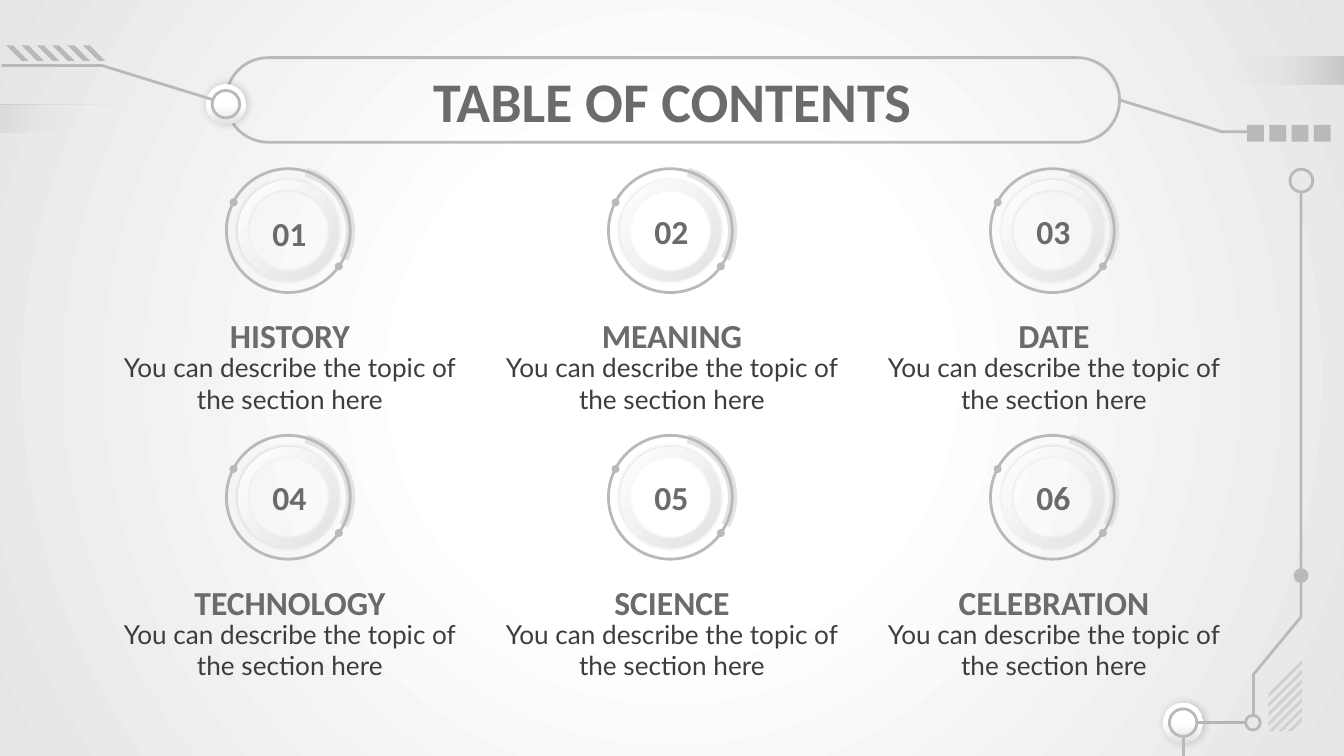
from pptx import Presentation
from pptx.dml.color import RGBColor
from pptx.enum.shapes import MSO_CONNECTOR, MSO_SHAPE
from pptx.enum.text import MSO_ANCHOR, PP_ALIGN
from pptx.oxml import parse_xml
from pptx.oxml.ns import nsdecls, qn
from pptx.util import Cm, Pt

OVAL = MSO_SHAPE.OVAL
RECT = MSO_SHAPE.RECTANGLE
ROUND_RECT = MSO_SHAPE.ROUNDED_RECTANGLE
PARALLELOGRAM = MSO_SHAPE.PARALLELOGRAM
BLOCK_ARC = MSO_SHAPE.BLOCK_ARC
DONUT = MSO_SHAPE.DONUT
STRAIGHT = MSO_CONNECTOR.STRAIGHT
TOP, MIDDLE = MSO_ANCHOR.TOP, MSO_ANCHOR.MIDDLE
CENTER = PP_ALIGN.CENTER

COLORS = {
    "line": "B9B9B9", "wire": "B4B6B9", "hatch": "D1D1D1", "arc": "E2E2E2",
    "fade": "DCDCDC", "edge": "E5E5E5", "white": "FFFFFF",
    "heading": "6B6B6B", "body": "3D3D3D", "shadow": "000000",
}
# Gradient stops: position %, colour, opacity %
FADE = [(0, "line", 100), (43, "fade", 42), (100, "white", 0)]
DISC = [(0, "white", 100), (100, "arc", 100)]
KNOB = [(0, "white", 100), (50, "white", 100), (100, "arc", 100)]
BACKDROP = [(0, "white", 100), (32, "white", 100), (100, "edge", 100)]


def style(sp, fill=None, line=None, stops=None, shade='<a:lin ang="0" scaled="0"/>', shadow=None):
    """Format a shape or the background; shadow is (opacity %, blur pt, distance pt)."""
    if fill:
        sp.fill.solid()
        sp.fill.fore_color.rgb = RGBColor.from_string(COLORS[fill])
    else:
        sp.fill.background()
    if stops:
        gs = "".join(
            f'<a:gs pos="{pos * 1000}"><a:srgbClr val="{COLORS[c]}">'
            f'<a:alpha val="{alpha * 1000}"/></a:srgbClr></a:gs>' for pos, c, alpha in stops)
        grad = parse_xml(f'<a:gradFill {nsdecls("a")} rotWithShape="1">'
                         f'<a:gsLst>{gs}</a:gsLst>{shade}</a:gradFill>')
        no_fill = next(sp._element.iter(qn("a:noFill")))
        no_fill.getparent().replace(no_fill, grad)
    if not hasattr(sp, "line"):
        return
    if line:
        sp.line.color.rgb = RGBColor.from_string(COLORS[line])
        sp.line.width = Pt(1.5)
    else:
        sp.line.fill.background()
    sp.shadow.inherit = False
    if shadow:
        alpha, blur, dist = shadow
        sp._element.spPr.find(qn("a:effectLst")).append(parse_xml(
            f'<a:outerShdw {nsdecls("a")} blurRad="{Pt(blur)}" dist="{Pt(dist)}" dir="0" '
            f'algn="bl" rotWithShape="0"><a:srgbClr val="{COLORS["shadow"]}">'
            f'<a:alpha val="{alpha * 1000}"/></a:srgbClr></a:outerShdw>'))


def add_text(text, left, top, width, height, size=18, font="Calibri",
             color="heading", bold=True, anchor=MIDDLE):
    tf = s.shapes.add_textbox(Cm(left), Cm(top), Cm(width), Cm(height)).text_frame
    tf.word_wrap = True
    tf.vertical_anchor = anchor
    tf.margin_left = tf.margin_right = tf.margin_top = tf.margin_bottom = Cm(0.25)
    p = tf.paragraphs[0]
    p.alignment = CENTER
    r = p.add_run()
    r.text = text
    r.font.size = Pt(size)
    r.font.name = font
    r.font.bold = bold
    r.font.color.rgb = RGBColor.from_string(COLORS[color])


prs = Presentation()
prs.slide_width, prs.slide_height = Cm(25.4), Cm(14.29)
s = prs.slides.add_slide(prs.slide_layouts[6])

s.background.fill.background()
style(s.background, stops=BACKDROP, shade=(
    '<a:path path="circle"><a:fillToRect l="50000" t="50000" r="50000" b="50000"/></a:path>'))

# Fading bars at the slide edges
for left, top, flip in [(22.1, 1.07, "1"), (-1.14, 1.98, "0")]:
    sp = s.shapes.add_shape(PARALLELOGRAM, Cm(left), Cm(top), Cm(3.71), Cm(0.53))
    sp.adjustments[0] = 0.25
    sp._element.spPr.xfrm.set("flipH", flip)
    style(sp, stops=FADE)

# Title frame
sp = s.shapes.add_shape(ROUND_RECT, Cm(4.27), Cm(1.09), Cm(16.89), Cm(1.6))
sp.adjustments[0] = 0.5
style(sp, line="line")

# Six sections in a grid of three columns
DIAL = [  # shape, left, top, size, rotation, adjustments, format
    (BLOCK_ARC, 4.25, 3.13, 2.46, 105, (108.12, 169.54, 0.07), {"fill": "arc"}),
    (OVAL, 4.28, 3.19, 2.34, 0, (), {"line": "line"}),
    (OVAL, 6.33, 4.96, 0.15, 0, (), {"fill": "line"}),
    (OVAL, 4.34, 3.75, 0.15, 0, (), {"fill": "line"}),
    (DONUT, 4.5, 3.41, 1.9, 0, (0.09,), {
        "stops": DISC, "shade": '<a:lin ang="2700000" scaled="0"/>', "shadow": (14, 2.2, 0)}),
]
SECTIONS = ["HISTORY", "MEANING", "DATE", "TECHNOLOGY", "SCIENCE", "CELEBRATION"]
for i, section in enumerate(SECTIONS):
    dx, dy = i % 3 * 7.22, i // 3 * 5.04
    for kind, left, top, size, rotation, adjustments, look in DIAL:
        sp = s.shapes.add_shape(kind, Cm(left + dx), Cm(top + dy), Cm(size), Cm(size))
        sp.rotation = rotation
        for n, value in enumerate(adjustments):
            sp.adjustments[n] = value
        style(sp, **look)
    number_top = 3.92 if i == 0 else 3.87
    add_text(f"{i + 1:02}", 4.62 + dx, number_top + dy, 1.7, 0.99)
    add_text(section, 2 + dx, 5.84 + dy, 6.96, 0.99)
    add_text("You can describe the topic of the section here", 2 + dx, 6.4 + dy, 6.96, 1.35,
             size=14, font="Lato", color="body", bold=False, anchor=TOP)

# Knobs, rings, dots and squares of the circuit
CIRCUIT = [(OVAL, left, top, 0.76, {
    "stops": KNOB, "shade": '<a:lin ang="5400000" scaled="0"/>', "shadow": (19, 4.5, 0.8)})
    for left, top in [(3.89, 1.59), (21.98, 13.28)]]
CIRCUIT += [(OVAL, left, top, size, {"line": "line"}) for left, top, size in [
    (4.01, 1.71, 0.52), (22.1, 13.4, 0.52), (24.38, 3.2, 0.43), (23.54, 13.52, 0.28)]]
CIRCUIT += [(OVAL, 24.45, 10.74, 0.28, {"fill": "line"})]
CIRCUIT += [(RECT, 23.57 + 0.42 * i, 2.36, 0.32, {"fill": "line"}) for i in range(4)]
for kind, left, top, size, look in CIRCUIT:
    style(s.shapes.add_shape(kind, Cm(left), Cm(top), Cm(size), Cm(size)), **look)

# Bent wires, then slanted stripes top left and hatching bottom right
OUTLINES = [(points, False, {"line": "line"}) for points in [
    [(23.62, 2.49), (23.09, 2.49), (21.13, 1.88)],
    [(0.03, 1.24), (1.93, 1.24), (4.01, 1.88)],
    [(23.69, 13.54), (23.69, 12.75), (24.59, 11.66), (24.59, 3.63)],
]]
for i in range(6):
    x = 0.12 + 0.29 * i
    OUTLINES.append(([(x, 0.86), (x + 0.29, 1.15), (x + 0.42, 1.15), (x + 0.13, 0.86)],
                     True, {"fill": "line"}))
right, floor, reach, thick = 24.61, 13.82, 0.64, 0.08
for i in range(7):
    y = 12.47 + 0.18 * i
    upper, lower = min(reach, floor - y), min(reach, floor - y - thick)
    OUTLINES.append(([(right, y), (right - upper, y + upper),
                      (right - lower, y + thick + lower), (right, y + thick)],
                     True, {"fill": "hatch"}))
for points, closed, look in OUTLINES:
    corners = [(Cm(x), Cm(y)) for x, y in points]
    builder = s.shapes.build_freeform(*corners[0])
    builder.add_line_segments(corners[1:], close=closed)
    style(builder.convert_to_shape(), **look)

# Straight wires from the lower knob
for x1, y1, x2, y2, color in [(23.54, 13.66, 22.61, 13.66, "wire"),
                              (22.36, 13.92, 22.36, 14.35, "line")]:
    wire = s.shapes.add_connector(STRAIGHT, Cm(x1), Cm(y1), Cm(x2), Cm(y2))
    wire.line.color.rgb = RGBColor.from_string(COLORS[color])
    wire.line.width = Pt(1.5)
    wire._element.spPr.append(parse_xml(f'<a:effectLst {nsdecls("a")}/>'))

add_text("TABLE OF CONTENTS", 2, 1.09, 21.41, 1.6, size=30)

prs.save("out.pptx")
